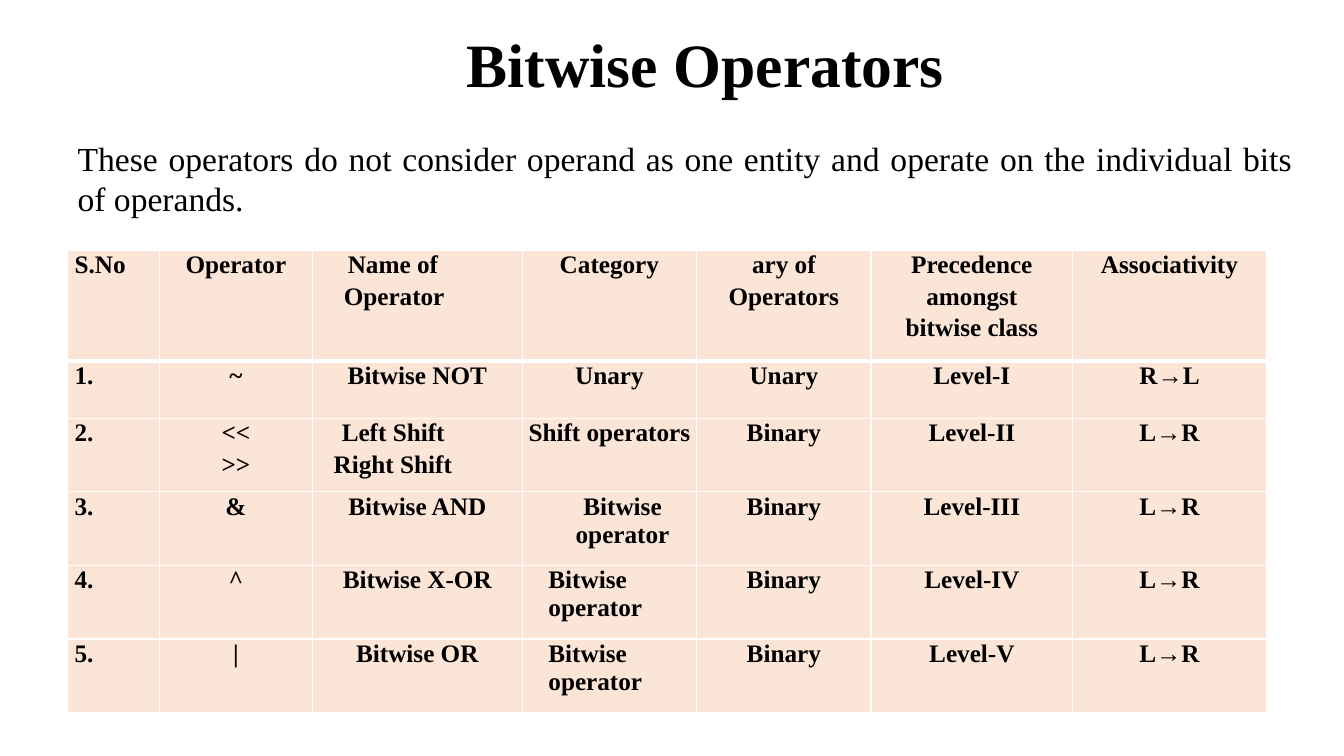
import pptx
import pptx.util
import pptx.dml.color
import pptx.enum.text
import pptx.oxml
import pptx.oxml.ns

Inches, Pt = pptx.util.Inches, pptx.util.Pt
ALIGN = pptx.enum.text.PP_ALIGN
ANCHOR = pptx.enum.text.MSO_ANCHOR

# Content
TITLE = "Bitwise Operators"
INTRO = ("These operators do not consider operand as one entity and operate "
         "on the individual bits of operands.")
ROWS = [
    ["S.No", "Operator", "Name of\nOperator", "Category", "ary of\nOperators",
     "Precedence\namongst\nbitwise class", "Associativity"],
    ["1.", "~", "Bitwise NOT", "Unary", "Unary", "Level-I", "R→L"],
    ["2.", "<<\n>>", "Left Shift\nRight Shift", "Shift operators", "Binary", "Level-II", "L→R"],
    ["3.", "&", "Bitwise AND", "Bitwise operator", "Binary", "Level-III", "L→R"],
    ["4.", "^", "Bitwise X-OR", "Bitwise operator", "Binary", "Level-IV", "L→R"],
    ["5.", "|", "Bitwise OR", "Bitwise operator", "Binary", "Level-V", "L→R"],
]
COL_WIDTHS = [0.91, 1.52, 2.08, 1.73, 1.73, 2, 1.92]
ROW_HEIGHTS = [1.1, 0.57, 0.73, 0.73, 0.73, 0.73]
# Left indents of each paragraph, by (row, column)
INDENTS = {(0, 2): [0.35, 0.31], (2, 2): [0.29, 0.21],
           (3, 3): [0.26], (4, 3): [0.26], (5, 3): [0.26]}
CENTERED_INDENTS = {(3, 3)}
COLORS = {"text": "000000", "cell": "FBE5D6", "border": "FFFFFF"}
FONT = "Times New Roman"


def rgb(name):
    return pptx.dml.color.RGBColor.from_string(COLORS[name])


def write(tf, text, size=18, bold=True, align=ALIGN.LEFT, indents=()):
    for i, line in enumerate(text.split("\n")):
        p = tf.paragraphs[0] if i == 0 else tf.add_paragraph()
        p.alignment = align
        if i:
            p.space_before = Pt(2.6)
        if indents:
            p._p.get_or_add_pPr().set("marL", str(Inches(indents[i])))
        r = p.add_run()
        r.text = line
        r.font.name, r.font.size, r.font.bold = FONT, Pt(size), bold
        r.font.color.rgb = rgb("text")


def add_text(s, box, text, anchor=ANCHOR.TOP, **fmt):
    tf = s.shapes.add_textbox(*map(Inches, box)).text_frame
    tf.word_wrap = True
    tf.vertical_anchor = anchor
    tf.margin_left = tf.margin_right = tf.margin_bottom = 0
    tf.margin_top = Inches(0.01)
    write(tf, text, **fmt)


def set_borders(cell, widths):
    tcPr = cell._tc.get_or_add_tcPr()
    for i, (side, width) in enumerate(widths.items()):
        tcPr.insert(i, pptx.oxml.parse_xml(
            f'<a:ln{side} {pptx.oxml.ns.nsdecls("a")} w="{Pt(width)}"><a:solidFill>'
            f'<a:srgbClr val="{COLORS["border"]}"/></a:solidFill></a:ln{side}>'))


prs = pptx.Presentation()
prs.slide_width, prs.slide_height = Inches(13.33), Inches(7.5)
s = prs.slides.add_slide(prs.slide_layouts[6])

# Title and introduction
add_text(s, (4.62, 0.24, 7.72, 0.75), TITLE, size=44, indents=[0.01], anchor=ANCHOR.BOTTOM)
add_text(s, (0.76, 1.36, 12.06, 1.38), INTRO, size=24, bold=False,
         align=ALIGN.JUSTIFY, indents=[0.01])

# Operator table
table = s.shapes.add_table(len(ROWS), len(COL_WIDTHS), Inches(0.67), Inches(2.48),
                           Inches(sum(COL_WIDTHS)), Inches(sum(ROW_HEIGHTS))).table
for column, width in zip(table.columns, COL_WIDTHS):
    column.width = Inches(width)
for row, height in zip(table.rows, ROW_HEIGHTS):
    row.height = Inches(height)

for r_idx, texts in enumerate(ROWS):
    for c_idx, text in enumerate(texts):
        cell, key = table.cell(r_idx, c_idx), (r_idx, c_idx)
        cell.margin_left = cell.margin_right = cell.margin_bottom = 0
        cell.margin_top = Inches(0.01)
        cell.fill.solid()
        cell.fill.fore_color.rgb = rgb("cell")
        set_borders(cell, {"L": 1, "R": 1, "T": 3 if r_idx == 1 else 1,
                           "B": 3 if r_idx == 0 else 1})
        indents = [0.07] if c_idx == 0 else INDENTS.get(key, ())
        centered = not indents or key in CENTERED_INDENTS
        write(cell.text_frame, text, indents=indents,
              align=ALIGN.CENTER if centered else ALIGN.LEFT)

prs.save("out.pptx")
